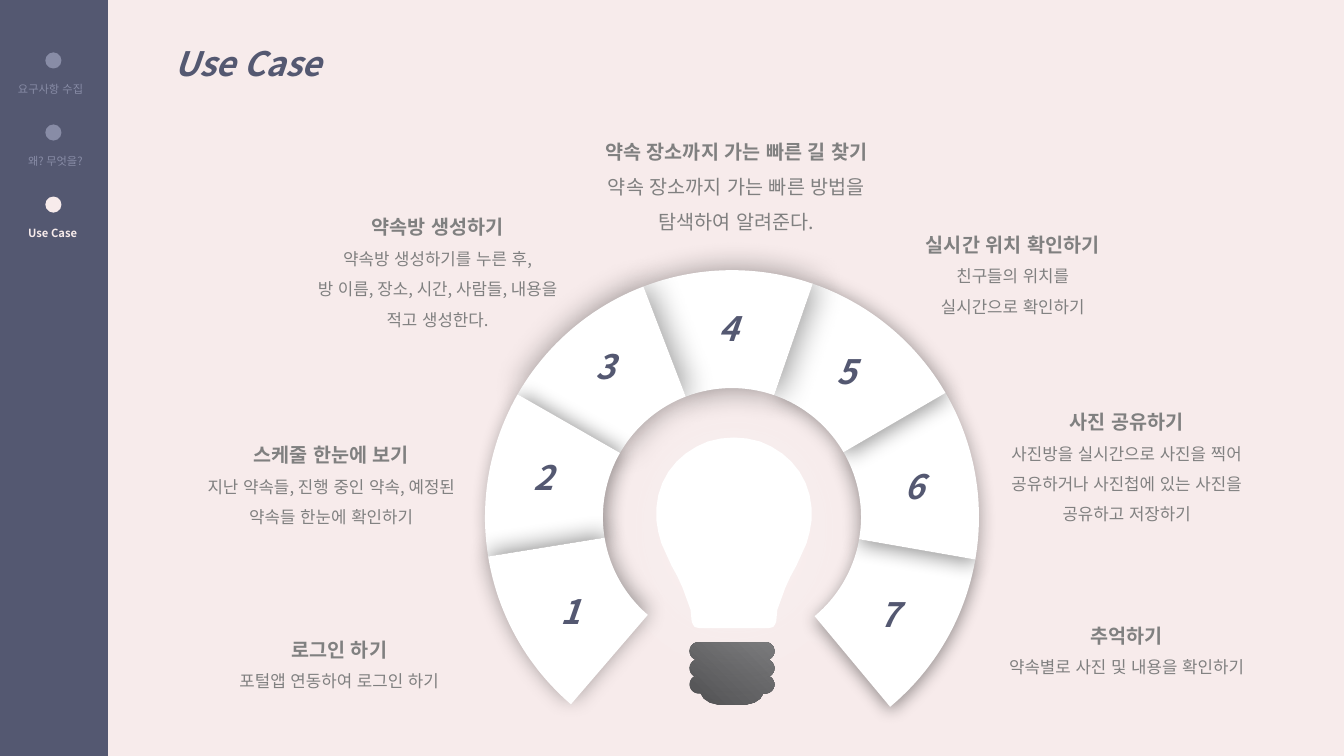
import math
import pptx
import pptx.util
import pptx.dml.color
import pptx.enum.lang
import pptx.enum.shapes
import pptx.enum.text
import pptx.oxml
import pptx.oxml.ns
from pptx.util import Inches

THEME = {
    "font": "Noto Sans CJK KR",
    "back": "F7EBEB", "navy": "545871", "dim": "888CA6", "grey": "808080",
    "white": "FFFFFF", "black": "000000", "dark": "4E4E50", "light": "6E6E70",
    "title": 24, "head": 14, "body": 12, "menu": 8,
}

TITLE = "Use Case"
MENU = [  # label, left, width, colour of dot and label, bold
    ("요구사항 수집", 0.08, 0.92, "dim", False),
    ("왜? 무엇을?", 0.18, 0.79, "dim", False),
    ("Use Case", 0.18, 0.69, "back", True),
]
CASES = [  # left, top, width, height, body size, heading, body lines
    (5.75, 1.22, 3.11, 1.12, "head", "약속 장소까지 가는 빠른 길 찾기",
     ["약속 장소까지 가는 빠른 방법을 탐색하여 알려준다."]),
    (9.73, 3.9, 2.89, 1.35, "body", "사진 공유하기",
     ["사진방을 실시간으로 사진을 찍어 공유하거나 사진첩에 있는 사진을 공유하고 저장하기"]),
    (8.6, 2.14, 2.89, 1.02, "body", "실시간 위치 확인하기",
     ["친구들의 위치를", "실시간으로 확인하기"]),
    (2.93, 1.97, 2.82, 1.35, "body", "약속방 생성하기",
     ["약속방 생성하기를 누른 후,", "방 이름, 장소, 시간, 사람들, 내용을 적고 생성한다."]),
    (9.73, 6.02, 2.89, 0.72, "body", "추억하기",
     ["약속별로 사진 및 내용을 확인하기"]),
    (1.84, 4.23, 2.89, 1.02, "body", "스케줄 한눈에 보기",
     ["지난 약속들, 진행 중인 약속, 예정된 약속들 한눈에 확인하기"]),
    (1.92, 6.16, 2.89, 0.74, "body", "로그인 하기",
     ["포털앱 연동하여 로그인 하기"]),
]

# Arch: wedge edges in degrees clockwise from the top
CENTRE, OUTER, INNER = (7.26, 5.13), 2.45, 1.28
EDGES = [-139.3, -99.2, -60.2, -21, 19.1, 59.8, 99.9, 140.2]
SHADES = [(16, 270), (14, 0), (22, 315), (22, 0), (15, 50), (14, 100), (12, 90)]
DIGITS = [(5.46, 5.61), (5.19, 4.28), (5.81, 3.18), (7.03, 2.81),
          (8.2, 3.23), (8.87, 4.37), (8.62, 5.64)]

# Right half of the bulb: distance from its axis, height on the slide
BULB_AXIS, BASE_AXIS = 7.28, 7.26
BULB = [
    (0, 4.34), (0.13, 4.35), (0.26, 4.38), (0.37, 4.43), (0.48, 4.5),
    (0.57, 4.58), (0.65, 4.68), (0.71, 4.79), (0.75, 4.91), (0.77, 5.04),
    (0.77, 5.16), (0.75, 5.28), (0.72, 5.39), (0.67, 5.5), (0.62, 5.61),
    (0.56, 5.72), (0.51, 5.83), (0.47, 5.94), (0.43, 6.05), (0.42, 6.16),
    (0.41, 6.19), (0.39, 6.22), (0.35, 6.23),
]
LOBES, LOBE = [6.46, 6.63, 6.79], 0.09
FOOT = [(0.31, 6.88), (0.28, 6.93), (0.22, 6.97), (0.14, 6.99)]

deck = pptx.Presentation()
deck.slide_width, deck.slide_height = Inches(13.33), Inches(7.5)
slide = deck.slides.add_slide(deck.slide_layouts[5])
shapes = slide.shapes


def tint(name):
    return pptx.dml.color.RGBColor.from_string(THEME[name])


def paint(shape, name):
    shape.shadow.inherit = False
    shape.fill.solid()
    shape.fill.fore_color.rgb = tint(name)
    shape.line.fill.background()


def style(para, size, name, bold=False, slant=False):
    for run in para.runs:
        font = run.font
        font.size, font.bold, font.italic = pptx.util.Pt(THEME[size]), bold, slant
        font.color.rgb = tint(name)
        font.name = THEME["font"]
        font.language_id = pptx.enum.lang.MSO_LANGUAGE_ID.KOREAN
        latin = run._r.get_or_add_rPr().find(pptx.oxml.ns.qn("a:latin"))
        latin.addnext(pptx.oxml.parse_xml(
            f'<a:ea {pptx.oxml.ns.nsdecls("a")} typeface="{THEME["font"]}"/>'))


def label(left, top, width, height, text, wrap=True):
    box = shapes.add_textbox(*map(Inches, (left, top, width, height)))
    box.text_frame.word_wrap = wrap
    box.text_frame.text = text
    return box.text_frame.paragraphs


def trace(points, name):
    dots = [(Inches(x), Inches(y)) for x, y in points]
    pen = shapes.build_freeform(*dots[0])
    pen.add_line_segments(dots[1:], close=True)
    shape = pen.convert_to_shape()
    paint(shape, name)
    return shape


def shade(shape, name, blur, dist, angle):
    """Give the shape an outer shadow at 40% opacity."""
    effects = shape._element.spPr.find(pptx.oxml.ns.qn("a:effectLst"))
    effects.append(pptx.oxml.parse_xml(
        f'<a:outerShdw {pptx.oxml.ns.nsdecls("a")} blurRad="{pptx.util.Pt(blur)}" '
        f'dist="{pptx.util.Pt(dist)}" dir="{angle * 60000}" algn="ctr" rotWithShape="0">'
        f'<a:srgbClr val="{THEME[name]}"><a:alpha val="40000"/></a:srgbClr></a:outerShdw>'))


def polar(radius, angle):
    turn = math.radians(angle)
    return CENTRE[0] + radius * math.sin(turn), CENTRE[1] - radius * math.cos(turn)


def wedge(index):
    start, end = EDGES[index:index + 2]
    steps = 24
    turns = [start + (end - start) * i / steps for i in range(steps + 1)]
    rim = [polar(OUTER, turn) for turn in turns]
    hole = [polar(INNER, turn) for turn in reversed(turns)]
    blur, angle = SHADES[index]
    shade(trace(rim + hole, "white"), "black", blur, 3, angle)


def mirror(half, axis):
    return [(axis + x, y) for x, y in half] + [(axis - x, y) for x, y in reversed(half)]


def lamp():
    arcs = [(0.33 + LOBE * math.cos(math.radians(turn)),
             mid + LOBE * math.sin(math.radians(turn)))
            for mid in LOBES for turn in range(-75, 76, 15)]
    base = trace(mirror(arcs + FOOT, BASE_AXIS), "dark")
    base.fill.gradient()
    base.fill.gradient_angle = 45
    for stop, name in zip(base.fill.gradient_stops, ("dark", "light")):
        stop.color.rgb = tint(name)
    shade(trace(mirror(BULB, BULB_AXIS), "white"), "white", 100, 0, 0)


def main():
    slide.background.fill.solid()
    slide.background.fill.fore_color.rgb = tint("back")

    title = shapes.title
    title.left, title.top, title.width, title.height = map(Inches, (1.63, 0.18, 6.03, 0.87))
    frame = title.text_frame
    frame.text = TITLE
    frame.vertical_anchor = pptx.enum.text.MSO_ANCHOR.TOP
    frame.auto_size = pptx.enum.text.MSO_AUTO_SIZE.NONE
    head = frame.paragraphs[0]
    head.alignment, head.line_spacing = pptx.enum.text.PP_ALIGN.LEFT, 1.5
    style(head, "title", "navy", True, True)

    wedge(6)
    lamp()
    for index in range(5, -1, -1):
        wedge(index)

    for left, top, width, height, size, name, lines in CASES:
        paras = label(left, top, width, height, "\n".join([name] + lines))
        for index, para in enumerate(paras):
            para.alignment, para.line_spacing = pptx.enum.text.PP_ALIGN.CENTER, 1.5
            style(para, size if index else "head", "grey", index == 0)

    kinds = pptx.enum.shapes.MSO_SHAPE
    paint(shapes.add_shape(kinds.RECTANGLE, 0, 0, Inches(1.07), deck.slide_height), "navy")
    for index, (text, left, width, name, bold) in enumerate(MENU):
        top = 0.52 + 0.715 * index
        paint(shapes.add_shape(kinds.OVAL, *map(Inches, (0.45, top, 0.16, 0.16))), name)
        style(label(left, top + 0.25, width, 0.24, text, False)[0], "menu", name, bold)

    for number, (left, top) in enumerate(DIGITS, 1):
        para = label(left, top, 0.68, 0.7, str(number))[0]
        para.line_spacing = 1.5
        style(para, "title", "navy", True, True)

    deck.save("out.pptx")


if __name__ == "__main__":
    main()
